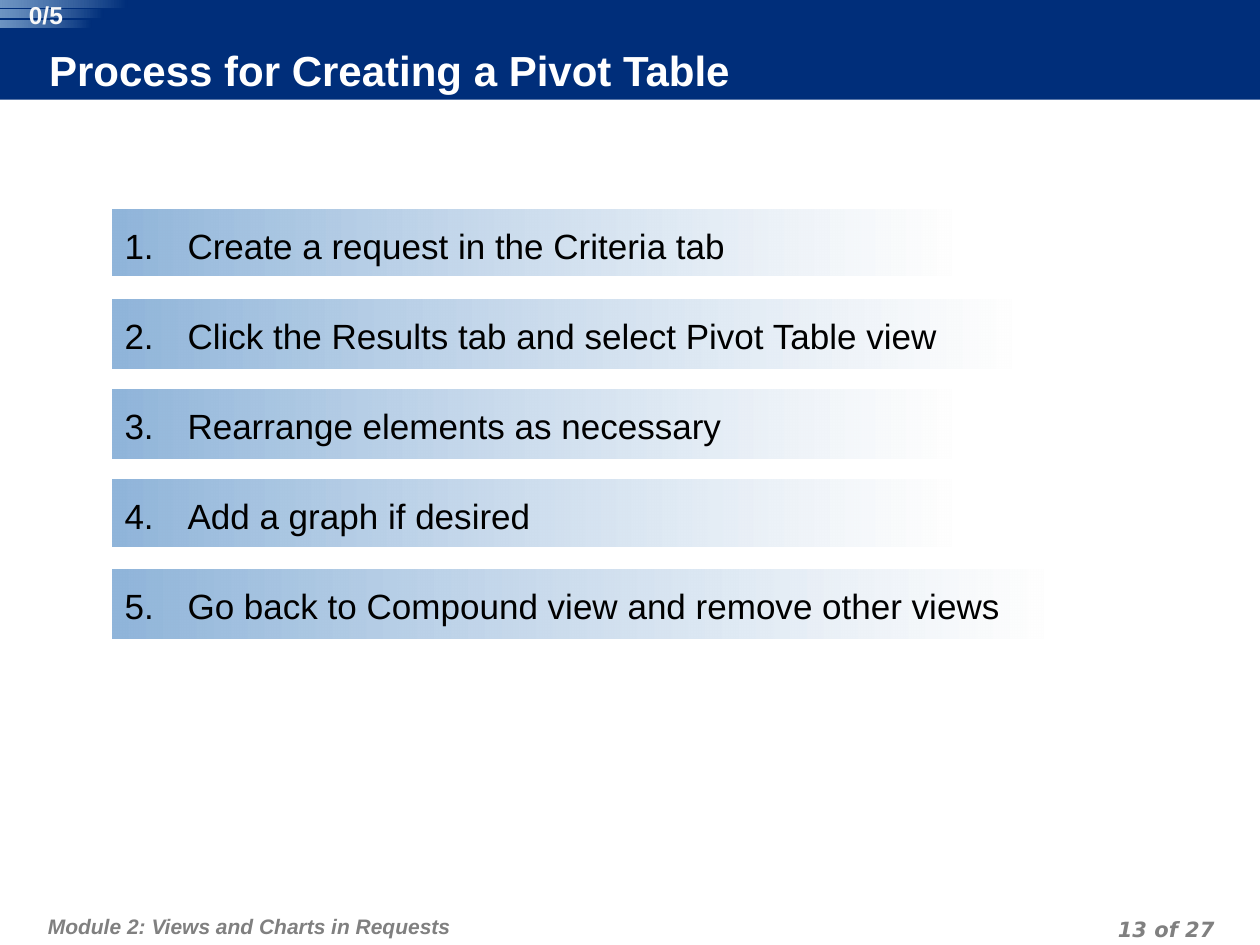
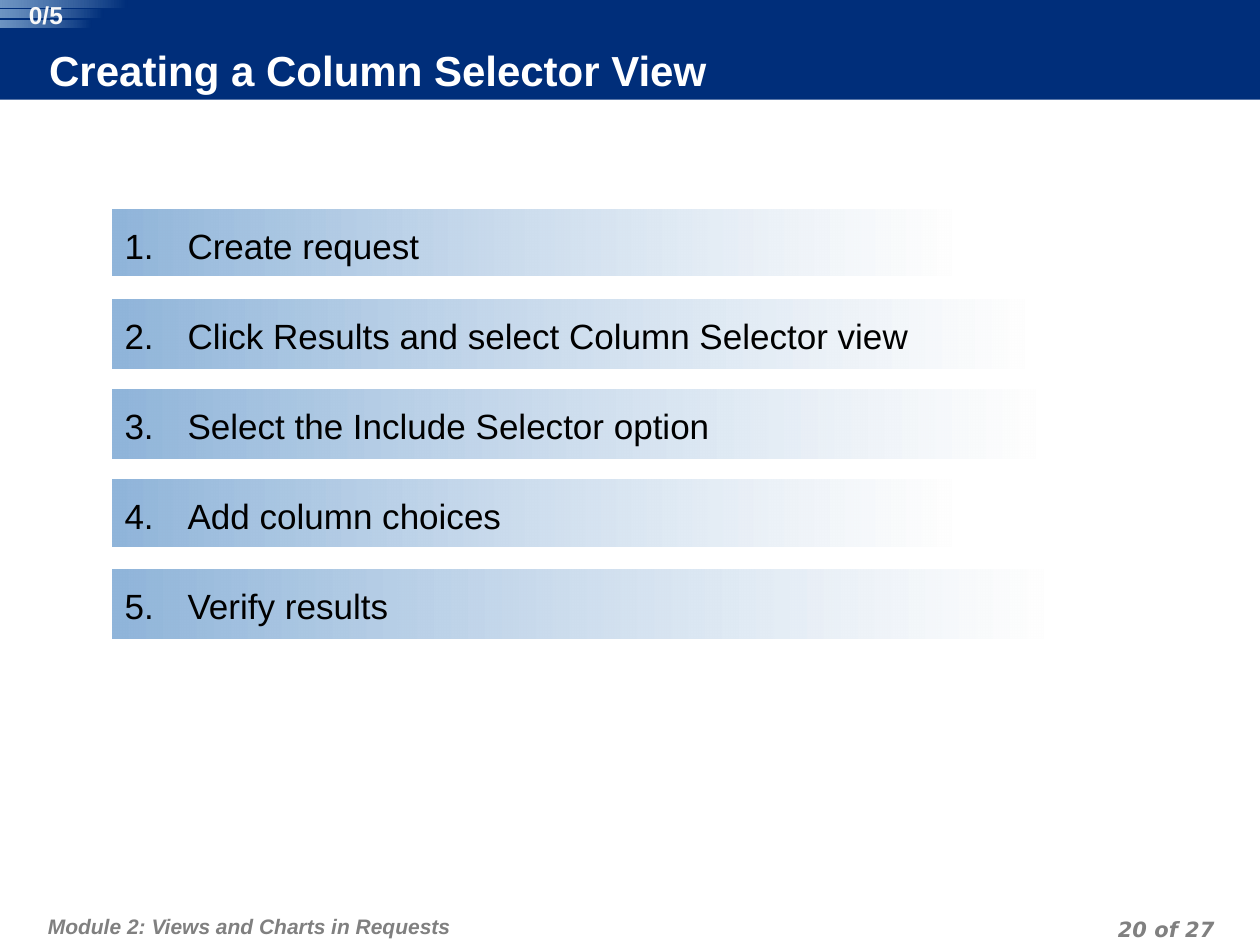
"""Build two numbered-step slides that share a title band, step counter and footer."""
from lxml.etree import SubElement
from pptx import Presentation
from pptx.dml.color import RGBColor
from pptx.enum.shapes import MSO_SHAPE as SHAPE
from pptx.enum.text import MSO_ANCHOR as ANCHOR, MSO_AUTO_SIZE as FIT, PP_ALIGN as ALIGN
from pptx.oxml.ns import qn
from pptx.util import Inches, Pt

SLIDES = [
    ("Process for Creating a Pivot Table", "13 of 27", [
        ("Create a request in the Criteria tab", 6.66),
        ("Click the Results tab and select Pivot Table view", 7.14),
        ("Rearrange elements as necessary", 6.66),
        ("Add a graph if desired", 6.66),
        ("Go back to Compound view and remove other views", 7.39),
    ]),
    ("Creating a Column Selector View", "20 of 27", [
        ("Create request", 6.66),
        ("Click Results and select Column Selector view", 7.24),
        ("Select the Include Selector option", 7.33),
        ("Add column choices", 6.66),
        ("Verify results", 7.39),
    ]),
]
FOOTER = "Module 2: Views and Charts in Requests"
COUNTER = "0/5"
STRIPE_WIDTHS = [1.01, 0.82, 0.73]
STEP_HEIGHTS = [0.53, 0.55, 0.55, 0.53, 0.55]
STEP_LEFT, STEP_TOP, STEP_BOTTOM = 0.89, 1.66, 5.07

NAVY = RGBColor(0x00, 0x2E, 0x7A)
SKY = RGBColor(0x90, 0xB5, 0xDA)
PALE = RGBColor(0xFE, 0xFE, 0xFE)
WHITE = RGBColor(0xFF, 0xFF, 0xFF)
OFF_WHITE = RGBColor(0xF8, 0xF8, 0xF8)
GRAY = RGBColor(0x80, 0x80, 0x80)
BLACK = RGBColor(0, 0, 0)


def write(shape, text, size, color, insets, font="Arial", bold=True, italic=False,
          align=ALIGN.LEFT, anchor=ANCHOR.TOP):
    tf = shape.text_frame
    tf.text = text
    tf.word_wrap = True
    tf.auto_size = FIT.NONE
    tf.vertical_anchor = anchor
    tf.margin_left, tf.margin_top, tf.margin_right, tf.margin_bottom = map(Inches, insets)
    p = tf.paragraphs[0]
    p.alignment = align
    f = p.runs[0].font
    f.name, f.size, f.bold, f.italic = font, Pt(size), bold, italic
    f.color.rgb = color
    return p


def add_box(shapes, kind, at):
    sp = shapes.add_shape(kind, *map(Inches, at))
    sp.shadow.inherit = False
    sp.line.fill.background()
    return sp


def add_fade(shapes, at, stops):
    sp = add_box(shapes, SHAPE.ROUNDED_RECTANGLE, at)
    sp.adjustments[0] = 0
    sp.fill.gradient()
    sp.fill.gradient_angle = 180
    for stop, (color, opacity) in zip(sp.fill.gradient_stops, stops):
        stop.color.rgb = color
        rgb = next(sp.element.iter(qn("a:gsLst")))[int(stop.position)][0]
        SubElement(rgb, qn("a:alpha"), val=str(opacity * 1000))
    return sp


def add_title(s, title):
    sp = s.shapes.title
    sp.left, sp.top, sp.width, sp.height = map(Inches, (0.39, 0.38, 7.87, 0.4))
    write(sp, title, 24, WHITE, (0, 0, 0.05, 0.05), anchor=ANCHOR.MIDDLE)
    band = add_box(s.shapes, SHAPE.RECTANGLE, (0, 0, 10, 0.79))
    band.fill.solid()
    band.fill.fore_color.rgb = NAVY
    sp.element.addprevious(band.element)


def add_counter(s):
    group = s.shapes.add_group_shape()
    for i, width in enumerate(STRIPE_WIDTHS):
        add_fade(group.shapes, (0, 0.08 * i, width, 0.06), [(NAVY, 100), (SKY, 76)])
    sp = group.shapes.add_textbox(*map(Inches, (0.11, 0, 0.51, 0.23)))
    write(sp, COUNTER, 14, OFF_WHITE, (0, 0, 0, 0), align=ALIGN.CENTER)


def add_footer(s, page):
    for text, at, insets, font, align in [
        (FOOTER, (0.33, 7.1, 6.18, 0.4), (0.05, 0.1, 0.05, 0.05), "Arial", ALIGN.LEFT),
        (page, (7.36, 7.22, 2.33, 0.25), (0.05, 0, 0.05, 0), "DejaVu Sans", ALIGN.RIGHT),
    ]:
        sp = s.shapes.add_textbox(*map(Inches, at))
        p = write(sp, text, 12, GRAY, insets, font, italic=True, align=align)
        p.line_spacing = Pt(18)


def add_steps(s, steps):
    pitch = (STEP_BOTTOM - STEP_HEIGHTS[-1] - STEP_TOP) / (len(steps) - 1)
    for i, ((text, width), height) in enumerate(zip(steps, STEP_HEIGHTS)):
        at = (STEP_LEFT, STEP_TOP + i * pitch, width, height)
        sp = add_fade(s.shapes, at, [(PALE, 75), (SKY, 100)])
        p = write(sp, text, 20, BLACK, (0.1, 0.12, 0.1, 0.05), bold=False)
        pPr = p._p.get_or_add_pPr()
        pPr.set("marL", str(Inches(0.5)))
        pPr.set("indent", str(-Inches(0.5)))
        SubElement(pPr, qn("a:buFont"), typeface="Arial")
        SubElement(pPr, qn("a:buAutoNum"), type="arabicPeriod", startAt=str(i + 1))


def main():
    prs = Presentation()
    prs.slide_width, prs.slide_height = Inches(10), Inches(7.5)
    for title, page, steps in SLIDES:
        s = prs.slides.add_slide(prs.slide_layouts[5])
        add_title(s, title)
        add_counter(s)
        add_steps(s, steps)
        add_footer(s, page)
    prs.save("out.pptx")


if __name__ == "__main__":
    main()
